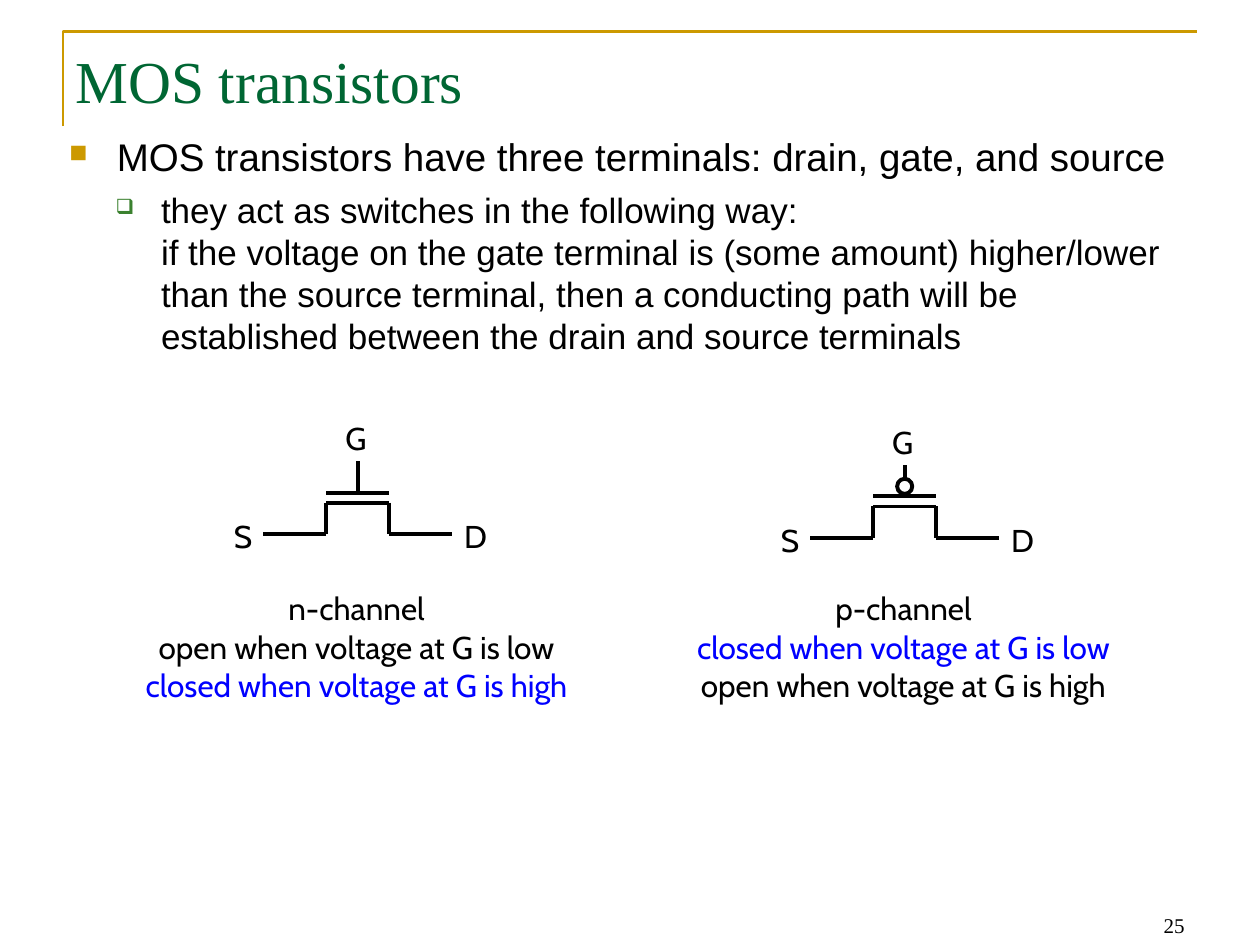
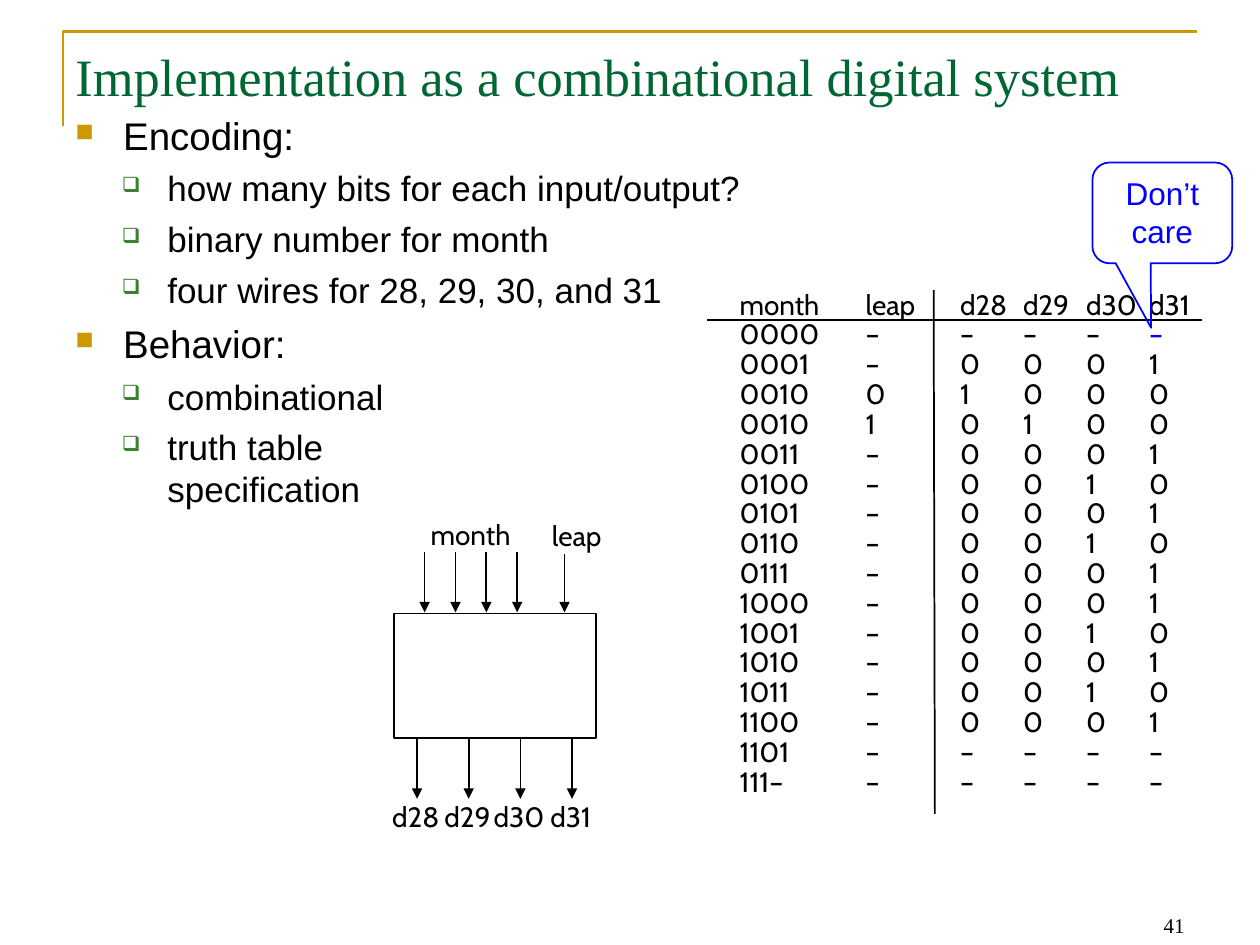
from dataclasses import dataclass

from lxml.etree import SubElement
from pptx import Presentation
from pptx.dml.color import RGBColor
from pptx.enum.shapes import MSO_CONNECTOR, MSO_SHAPE
from pptx.enum.text import MSO_ANCHOR, PP_ALIGN
from pptx.oxml.ns import qn
from pptx.util import Inches, Pt


@dataclass(frozen=True)
class Theme:
    black: RGBColor = RGBColor.from_string("000000")
    white: RGBColor = RGBColor.from_string("FFFFFF")
    blue: RGBColor = RGBColor.from_string("0000FF")
    gold: RGBColor = RGBColor.from_string("CC9900")
    green: RGBColor = RGBColor.from_string("006633")
    title_font: str = "Times New Roman"
    body_font: str = "Arial"
    label_font: str = "Cabin"
    label_size: int = 18
    small_label_size: int = 16
    number_size: int = 12
    label_spacing: Pt = Pt(22)
    table_spacing: Pt = Pt(17)
    thin: Pt = Pt(1)
    frame: Pt = Pt(1.5)
    thick: Pt = Pt(2.25)


THEME = Theme()
# Per level: size, space before, left margin, hanging indent, bullet, its colour and percentage
LEVELS = [
    (22, 5.5, 0.38, 0.38, "■", "CC9900", 65),
    (20, 5, 0.73, 0.36, "❑", "3B812F", 60),
]
LABEL_INSETS = (0.02, 0.03)
TEXT_INSETS = (0.1, 0.05)

presentation = Presentation()
presentation.slide_width = Inches(10)
presentation.slide_height = Inches(7.5)
UNIT = presentation.slide_width // 40  # a grid of 40 columns and 30 rows


def add_box(slide, box, lines=(), font=THEME.label_font, size=THEME.label_size, color=THEME.black,
            align=PP_ALIGN.CENTER, preset=None, line_width=THEME.thin, insets=LABEL_INSETS):
    """Add a text box, or a preset shape, at a grid position; lines are (text, colour) pairs or text."""
    place = [round(UNIT * count) for count in box]
    if preset is None:
        shape = slide.shapes.add_textbox(*place)
    else:
        shape = slide.shapes.add_shape(preset, *place)
        shape.shadow.inherit = False
        shape.fill.background()
        shape.line.color.rgb = color
        shape.line.width = line_width
    frame = shape.text_frame
    frame.word_wrap = insets == TEXT_INSETS
    frame.vertical_anchor = MSO_ANCHOR.TOP
    frame.margin_left = frame.margin_right = Inches(insets[0])
    frame.margin_top = frame.margin_bottom = Inches(insets[1])
    paragraph = frame.paragraphs[0]
    paragraph.alignment = align
    if insets == LABEL_INSETS and lines:
        paragraph.line_spacing = THEME.label_spacing
    paragraph.font.name = font
    paragraph.font.size = Pt(size)
    paragraph.font.color.rgb = color
    if isinstance(lines, str):
        paragraph.text = lines
    else:
        for index, (text, run_color) in enumerate(lines):
            if index:
                paragraph.add_line_break()
            run = paragraph.add_run()
            run.text = text
            run.font.color.rgb = run_color
    return shape


def add_line(slide, start, end, width=THEME.thin, arrow=False):
    ends = [round(UNIT * count) for count in (*start, *end)]
    connector = slide.shapes.add_connector(MSO_CONNECTOR.STRAIGHT, *ends)
    connector.line.color.rgb = THEME.black
    connector.line.width = width
    if arrow:
        SubElement(connector.line._get_or_add_ln(), qn("a:tailEnd"), type="triangle")
    SubElement(connector._element.spPr, qn("a:effectLst"))


# Shared parts: frame, page number, title and bulleted body
outlines = [
    ("MOS transistors", 34, (2, 1.2, 36, 5), "25", (1.8, 4.04, 36, 19.24), [
        (0, "MOS transistors have three terminals: drain, gate, and source"),
        (1, "they act as switches in the following way:\n"
            "if the voltage on the gate terminal is (some amount) higher/lower than the source "
            "terminal, then a conducting path will be established between the drain and source "
            "terminals"),
    ]),
    ("Implementation as a combinational digital system", 30, (2, 1.2, 37, 2.48), "41",
     (2, 3.36, 36, 19.8), [
        (0, "Encoding:"),
        (1, "how many bits for each input/output?"),
        (1, "binary number for month"),
        (1, "four wires for 28, 29, 30, and 31"),
        (0, "Behavior:"),
        (1, "combinational"),
        (1, "truth table\nspecification"),
    ]),
]
slides = []
for title, title_size, title_box, number, body_box, points in outlines:
    slide = presentation.slides.add_slide(presentation.slide_layouts[6])
    slides.append(slide)

    builder = slide.shapes.build_freeform(1.68, 3.68, scale=UNIT)
    builder.add_line_segments([(1.68, 1), (37.68, 1)], close=False)
    corner = builder.convert_to_shape()
    corner.shadow.inherit = False
    corner.fill.background()
    corner.line.color.rgb = THEME.gold
    corner.line.width = THEME.frame

    page_number = add_box(slide, (28.68, 27.96, 9.32, 2), number, THEME.title_font,
                          THEME.number_size, align=PP_ALIGN.RIGHT, insets=TEXT_INSETS)
    page_number.text_frame.vertical_anchor = MSO_ANCHOR.BOTTOM
    add_box(slide, title_box, title, THEME.title_font, title_size, THEME.green,
            PP_ALIGN.LEFT, insets=TEXT_INSETS)

    body = add_box(slide, body_box, insets=TEXT_INSETS).text_frame
    for index, (level, text) in enumerate(points):
        size, space, margin, hanging, bullet, bullet_color, percentage = LEVELS[level]
        paragraph = body.add_paragraph() if index else body.paragraphs[0]
        paragraph.text = text
        paragraph.level = level
        paragraph.alignment = PP_ALIGN.LEFT
        if index:
            paragraph.space_before = Pt(space)
        properties = paragraph._p.get_or_add_pPr()
        properties.set("marL", str(Inches(margin)))
        properties.set("indent", str(-Inches(hanging)))
        for tag in ("a:buClr", "a:buSzPct", "a:buChar"):
            for old in properties.findall(qn(tag)):
                properties.remove(old)
        SubElement(SubElement(properties, qn("a:buClr")), qn("a:srgbClr"), val=bullet_color)
        SubElement(properties, qn("a:buSzPct"), val=str(percentage * 1000))
        SubElement(properties, qn("a:buChar"), char=bullet)
        # The font element has to follow the bullet elements
        for default_font in properties.findall(qn("a:defRPr")):
            properties.remove(default_font)
        paragraph.font.name = THEME.body_font
        paragraph.font.size = Pt(size)
        paragraph.font.color.rgb = THEME.black

transistor_slide, system_slide = slides

# Transistor symbols, measured from the outer end of the source lead
symbol_lines = [
    ((0, 0), (2, 0)), ((2, 0), (2, -1)), ((2, -1), (4, -1)), ((4, -1), (4, 0)),
    ((4, 0), (6, 0)), ((2, -1.32), (4, -1.32)), ((3, -1.32), (3, -2.32)),
]
terminals = [("G", 1.56, -3.8, 2.76), ("S", -1.36, -0.68, 1.44), ("D", 6.12, -0.68, 1.24)]
transistors = [
    (8.36, 16.96, False, [
        ("n-channel", THEME.black),
        ("open when voltage at G is low", THEME.black),
        ("closed when voltage at G is high", THEME.blue),
    ]),
    (25.72, 17.08, True, [
        ("p-channel", THEME.black),
        ("closed when voltage at G is low", THEME.blue),
        ("open when voltage at G is high", THEME.black),
    ]),
]
for left, base, inverted, caption in transistors:
    for (x1, y1), (x2, y2) in symbol_lines:
        add_line(transistor_slide, (left + x1, base + y1), (left + x2, base + y2), THEME.thick)
    if inverted:
        bubble = add_box(transistor_slide, (left + 2.76, base - 1.88, 0.48, 0.48),
                         preset=MSO_SHAPE.OVAL, line_width=THEME.thick)
        bubble.fill.solid()
        bubble.fill.fore_color.rgb = THEME.white
    for name, x, y, width in terminals:
        add_box(transistor_slide, (left + x, base + y, width, 1.88), name)
    add_box(transistor_slide, (left - 4.64, 18.56, 15.2, 5.48), caption)

# Block diagram: four month wires and a leap wire in, four day wires out
add_box(system_slide, (12.52, 19.48, 6.4, 3.96), preset=MSO_SHAPE.RECTANGLE)
for wire in range(4):
    month_x = 13.48 + 0.98 * wire
    day_x = 13.24 + 1.64 * wire
    add_line(system_slide, (month_x, 17.52), (month_x, 19.44), arrow=True)
    add_line(system_slide, (day_x, 23.44), (day_x, 25.36), arrow=True)
    add_box(system_slide, (day_x - 1.52, 25.12, 2.96, 1.76), f"d{28 + wire}",
            size=THEME.small_label_size)
add_line(system_slide, (17.92, 17.6), (17.92, 19.44), arrow=True)
add_box(system_slide, (12.64, 16.16, 4.6, 1.76), "month", size=THEME.small_label_size)
add_box(system_slide, (17.44, 16.2, 3.72, 1.76), "leap", size=THEME.small_label_size,
        align=PP_ALIGN.LEFT)

# Truth table
truth_rows = [row.split() for row in """
month leap d28 d29 d30 d31
0000 – – – – –
0001 – 0 0 0 1
0010 0 1 0 0 0
0010 1 0 1 0 0
0011 – 0 0 0 1
0100 – 0 0 1 0
0101 – 0 0 0 1
0110 – 0 0 1 0
0111 – 0 0 0 1
1000 – 0 0 0 1
1001 – 0 0 1 0
1010 – 0 0 0 1
1011 – 0 0 1 0
1100 – 0 0 0 1
1101 – – – – –
111– – – – – –
""".strip().splitlines()]
column_widths = [4, 3, 2, 2, 2, 2]
truth_table = system_slide.shapes.add_table(
    len(truth_rows), len(column_widths), round(23.48 * UNIT), round(9.28 * UNIT),
    sum(column_widths) * UNIT, len(truth_rows) * THEME.table_spacing).table
truth_table.first_row = truth_table.horz_banding = False
for column, width in zip(truth_table.columns, column_widths):
    column.width = width * UNIT
for row_index, values in enumerate(truth_rows):
    truth_table.rows[row_index].height = THEME.table_spacing
    for column_index, value in enumerate(values):
        cell = truth_table.cell(row_index, column_index)
        cell.fill.background()
        cell.margin_left = cell.margin_right = cell.margin_top = cell.margin_bottom = 0
        paragraph = cell.text_frame.paragraphs[0]
        paragraph.text = value
        paragraph.line_spacing = THEME.table_spacing
        dont_care = (row_index, column_index) == (1, 5)
        font = paragraph.runs[0].font
        font.name = THEME.label_font
        font.size = Pt(THEME.small_label_size)
        font.color.rgb = THEME.blue if dont_care else THEME.black
add_line(system_slide, (22.44, 10.16), (38.16, 10.16))
add_line(system_slide, (29.64, 9.2), (29.68, 25.84))

callout = add_box(system_slide, (34.68, 5.16, 4.44, 3.2), "Don’t care", THEME.body_font,
                  color=THEME.blue, preset=MSO_SHAPE.ROUNDED_RECTANGULAR_CALLOUT,
                  insets=TEXT_INSETS)
for index, adjustment in enumerate((-0.08, 1.14, 0.17)):
    callout.adjustments[index] = adjustment

presentation.save("out.pptx")
